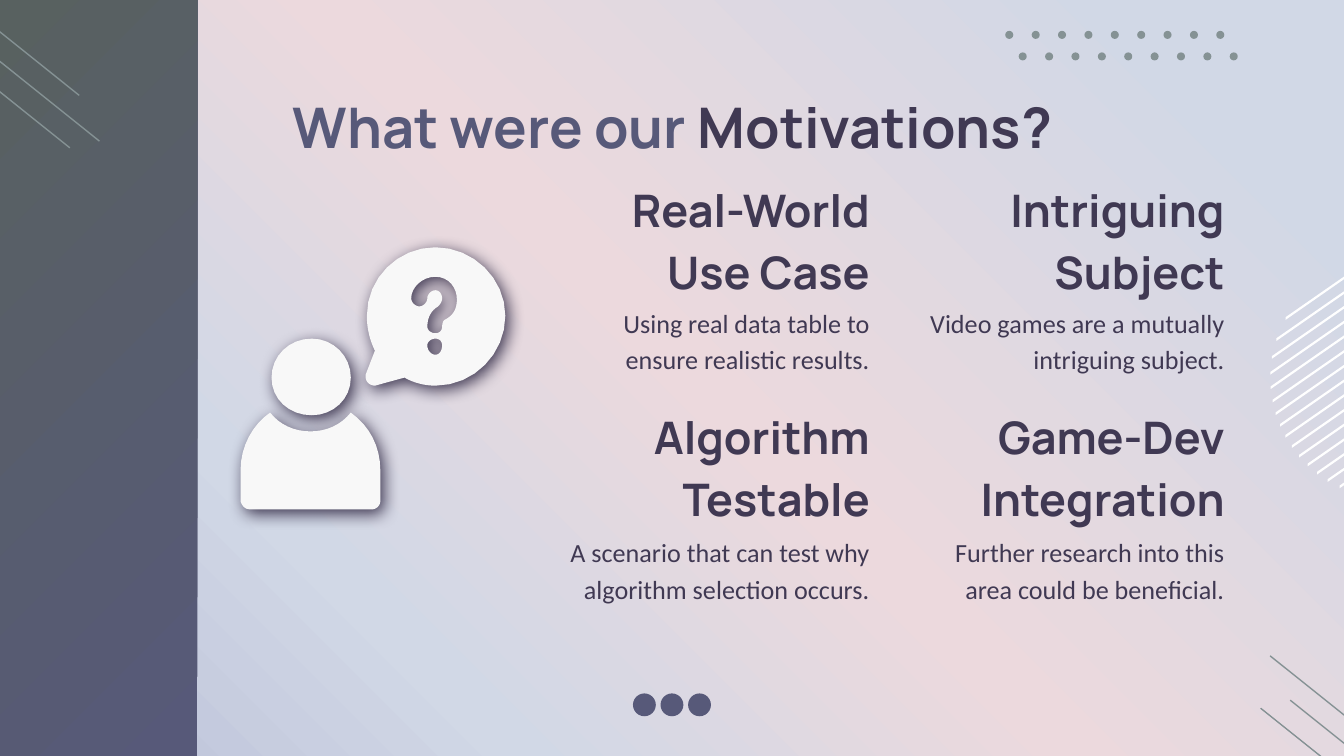
from dataclasses import dataclass
from math import sqrt

from pptx import Presentation
from pptx.dml.color import RGBColor
from pptx.enum import shapes, text
from pptx.oxml import parse_xml
from pptx.oxml.ns import nsdecls, qn
from pptx.util import Inches, Pt

COLORS = {
    "mist": "D1D8E6", "blush": "ECD9DD", "lilac": "BABFD7", "slate": "575979",
    "moss": "586160", "sage": "859294", "ink": "403953", "white": "FFFFFF",
    "icon": "F8F8F8",
}
SLIDE_W = 10
SLIDE_H = SLIDE_W * 9 / 16


@dataclass
class Topic:
    heading: str
    body: str
    right: float
    heading_top: float
    body_top: float
    body_width: float


@dataclass
class LineGroup:
    starts: list[tuple[float, float]]
    dx: float = 0.8
    dy: float = 0.64


TOPICS = [
    Topic("Real-World Use Case", "Using real data table to ensure realistic results.", 6.57, 1.8, 2.15, 2.44),
    Topic("Intriguing Subject", "Video games are a mutually intriguing subject.", 9.21, 1.8, 2.15, 2.64),
    Topic("Algorithm Testable", "A scenario that can test why algorithm selection occurs.", 6.57, 3.49, 3.86, 2.64),
    Topic("Game-Dev Integration", "Further research into this area could be beneficial.", 9.21, 3.49, 3.86, 2.44),
]
LINE_GROUPS = [
    LineGroup([(-0.06, 0.41), (-0.28, 0.46), (-0.21, 0.07)]),
    LineGroup([(9.6, 5.21), (9.38, 5.27), (9.45, 4.88)]),
]

# A contour is a start point, then segments: 2 numbers for a line, 6 for a Bezier curve.
HEAD = [
    [(2.32, 2.52), (2.15, 2.52, 2.02, 2.65, 2.02, 2.81), (2.02, 2.97, 2.15, 3.09, 2.32, 3.09),
     (2.48, 3.09, 2.61, 2.97, 2.61, 2.81), (2.61, 2.65, 2.48, 2.52, 2.32, 2.52)],
]
BUBBLE = [
    [(3.24, 2.06), (3.34, 2.06, 3.4, 2.14, 3.4, 2.23), (3.4, 2.3, 3.37, 2.35, 3.31, 2.38),
     (3.3, 2.38, 3.29, 2.41, 3.29, 2.43), (3.29, 2.46, 3.27, 2.48, 3.24, 2.48),
     (3.21, 2.48, 3.18, 2.46, 3.18, 2.43), (3.18, 2.36, 3.21, 2.31, 3.26, 2.28),
     (3.28, 2.26, 3.29, 2.24, 3.29, 2.22), (3.29, 2.19, 3.27, 2.16, 3.24, 2.16),
     (3.21, 2.16, 3.18, 2.19, 3.18, 2.22), (3.18, 2.25, 3.15, 2.28, 3.12, 2.28),
     (3.09, 2.28, 3.06, 2.25, 3.06, 2.22), (3.06, 2.14, 3.14, 2.06, 3.24, 2.06)],
    [(3.24, 2.52), (3.27, 2.52, 3.29, 2.54, 3.29, 2.57), (3.29, 2.61, 3.27, 2.64, 3.24, 2.64),
     (3.21, 2.64, 3.18, 2.61, 3.18, 2.57), (3.18, 2.54, 3.21, 2.52, 3.24, 2.52)],
    [(3.24, 1.84), (2.96, 1.84, 2.73, 2.07, 2.73, 2.35), (2.73, 2.44, 2.75, 2.53, 2.79, 2.61),
     (2.72, 2.79), (2.72, 2.81, 2.72, 2.83, 2.74, 2.85), (2.75, 2.86, 2.77, 2.87, 2.79, 2.87),
     (3.01, 2.81), (3.08, 2.85, 3.16, 2.87, 3.24, 2.87), (3.53, 2.87, 3.76, 2.63, 3.76, 2.35),
     (3.76, 2.07, 3.52, 1.84, 3.24, 1.84)],
]
TORSO = [
    [(2.01, 3.07), (1.88, 3.16, 1.79, 3.32, 1.79, 3.5), (1.79, 3.73),
     (1.8, 3.76, 1.82, 3.79, 1.86, 3.79), (2.77, 3.79), (2.8, 3.79, 2.83, 3.76, 2.83, 3.73),
     (2.83, 3.5), (2.83, 3.32, 2.75, 3.17, 2.61, 3.07), (2.54, 3.16, 2.43, 3.21, 2.31, 3.21),
     (2.19, 3.21, 2.08, 3.16, 2.01, 3.07)],
]


def rgb(name: str) -> RGBColor:
    return RGBColor.from_string(COLORS[name])


def set_gradient(element, stops: list[tuple[int, str]], angle: int) -> None:
    """Replace the first solid fill in element; the angle runs clockwise."""
    gs = "".join(f'<a:gs pos="{pos * 1000}"><a:srgbClr val="{COLORS[c]}"/></a:gs>' for pos, c in stops)
    solid = next(element.iter(qn("a:solidFill")))
    solid.getparent().replace(solid, parse_xml(
        f'<a:gradFill {nsdecls("a")}><a:gsLst>{gs}</a:gsLst>'
        f'<a:lin ang="{angle * 60000}" scaled="0"/></a:gradFill>'))


def style(sp, color: str):
    sp.fill.solid()
    sp.fill.fore_color.rgb = rgb(color)
    sp.line.fill.background()
    sp.shadow.inherit = False
    return sp


def add_preset(s, kind, x: float, y: float, w: float, h: float, color: str):
    return style(s.shapes.add_shape(kind, Inches(x), Inches(y), Inches(w), Inches(h)), color)


def flatten(contour) -> list[tuple[int, int]]:
    """Turn a contour into EMU points, with eight steps to a curve."""
    points = [contour[0]]
    for seg in contour[1:]:
        if len(seg) == 2:
            points.append(seg)
            continue
        x0, y0 = points[-1]
        x1, y1, x2, y2, x3, y3 = seg
        for t in (i / 8 for i in range(1, 9)):
            a, b, c, d = (1 - t) ** 3, 3 * t * (1 - t) ** 2, 3 * t * t * (1 - t), t ** 3
            points.append((a * x0 + b * x1 + c * x2 + d * x3, a * y0 + b * y1 + c * y2 + d * y3))
    return [(Inches(x), Inches(y)) for x, y in points]


def add_outline(s, contours, color: str):
    first, *rest = [flatten(c) for c in contours]
    fb = s.shapes.build_freeform(*first[0])
    fb.add_line_segments(first[1:], close=True)
    for points in rest:
        fb.move_to(*points[0])
        fb.add_line_segments(points[1:], close=True)
    return style(fb.convert_to_shape(), color)


def add_shadow(sp) -> None:
    effects = sp._element.spPr.find(qn("a:effectLst"))
    effects.append(parse_xml(
        f'<a:outerShdw {nsdecls("a")} blurRad="{Pt(9)}" dist="{Pt(3)}" dir="{52 * 60000}" '
        f'algn="tl" rotWithShape="0"><a:srgbClr val="{COLORS["ink"]}"/></a:outerShdw>'))


def add_line(s, x1: float, y1: float, x2: float, y2: float) -> None:
    ln = s.shapes.add_connector(shapes.MSO_CONNECTOR.STRAIGHT, Inches(x1), Inches(y1), Inches(x2), Inches(y2))
    ln.line.color.rgb = rgb("sage")
    ln.line.width = Pt(0.75)
    ln._element.spPr.append(parse_xml(f'<a:effectLst {nsdecls("a")}/>'))


def add_text(s, runs: list[tuple[str, str]], x: float, y: float, w: float, h: float, *, size: int,
             font: str, bold: bool = False, align=text.PP_ALIGN.RIGHT,
             anchor=text.MSO_ANCHOR.TOP, spacing: float = 1.15) -> None:
    tf = s.shapes.add_textbox(Inches(x), Inches(y), Inches(w), Inches(h)).text_frame
    tf.word_wrap = True
    tf.vertical_anchor = anchor
    tf.margin_left = tf.margin_right = tf.margin_top = tf.margin_bottom = Inches(0.1)
    p = tf.paragraphs[0]
    p.alignment, p.line_spacing = align, spacing
    for words, color in runs:
        r = p.add_run()
        r.text = words
        r.font.name, r.font.size, r.font.bold = font, Pt(size), bold
        r.font.color.rgb = rgb(color)


def add_striped_circle(s) -> None:
    """Parallel slanted chords of one circle, each drawn as a thin band."""
    cx, cy, radius, gap, ux, uy = 10.35, 2.8, 0.9, 0.09, 0.82, -0.57
    for i in range(-9, 6):
        half = sqrt(radius ** 2 - (i * gap) ** 2)
        mx, my = cx - i * gap * uy, cy + i * gap * ux
        x1, y1, x2, y2 = mx - half * ux, my - half * uy, mx + half * ux, my + half * uy
        add_outline(s, [[(x2, y2), (x1, y1), (x1, y1 + 0.02), (x2, y2 + 0.02)]], "white")


def main() -> None:
    prs = Presentation()
    prs.slide_width, prs.slide_height = Inches(SLIDE_W), Inches(SLIDE_H)
    s = prs.slides.add_slide(prs.slide_layouts[6])
    s.background.fill.solid()
    set_gradient(s._element, [(0, "mist"), (11, "mist"), (49, "blush"), (75, "mist"), (100, "lilac")], 135)

    oval = shapes.MSO_SHAPE.OVAL
    sidebar = add_preset(s, shapes.MSO_SHAPE.RECTANGLE, 0, 0, 1.47, SLIDE_H, "slate")
    set_gradient(sidebar._element.spPr, [(0, "slate"), (100, "moss")], 225)
    add_striped_circle(s)
    for i in range(3):
        add_preset(s, oval, 4.71 + i * 0.41 / 2, 5.16, 0.17, 0.17, "slate")
    for group in LINE_GROUPS:
        for x, y in group.starts:
            add_line(s, x, y, x + group.dx, y + group.dy)
    for left, top in [(7.48, 0.23), (7.58, 0.39)]:
        for i in range(9):
            add_preset(s, oval, left + i * 1.57 / 8, top, 0.06, 0.06, "sage")

    add_text(s, [("What were our ", "slate"), ("Motivations?", "ink")], 0.79, 0.59, 8.43, 0.52,
             size=30, font="Manrope", bold=True, align=text.PP_ALIGN.CENTER, spacing=1.0)
    for t in TOPICS:
        add_text(s, [(t.body, "ink")], t.right - t.body_width, t.body_top, t.body_width, 0.61,
                 size=14, font="Calibri")
        add_text(s, [(t.heading, "ink")], t.right - 2.44, t.heading_top, 2.44, 0.52,
                 size=24, font="Manrope", bold=True, anchor=text.MSO_ANCHOR.BOTTOM)

    for contours in (HEAD, BUBBLE, TORSO):
        add_shadow(add_outline(s, contours, "icon"))
    prs.save("out.pptx")


if __name__ == "__main__":
    main()
